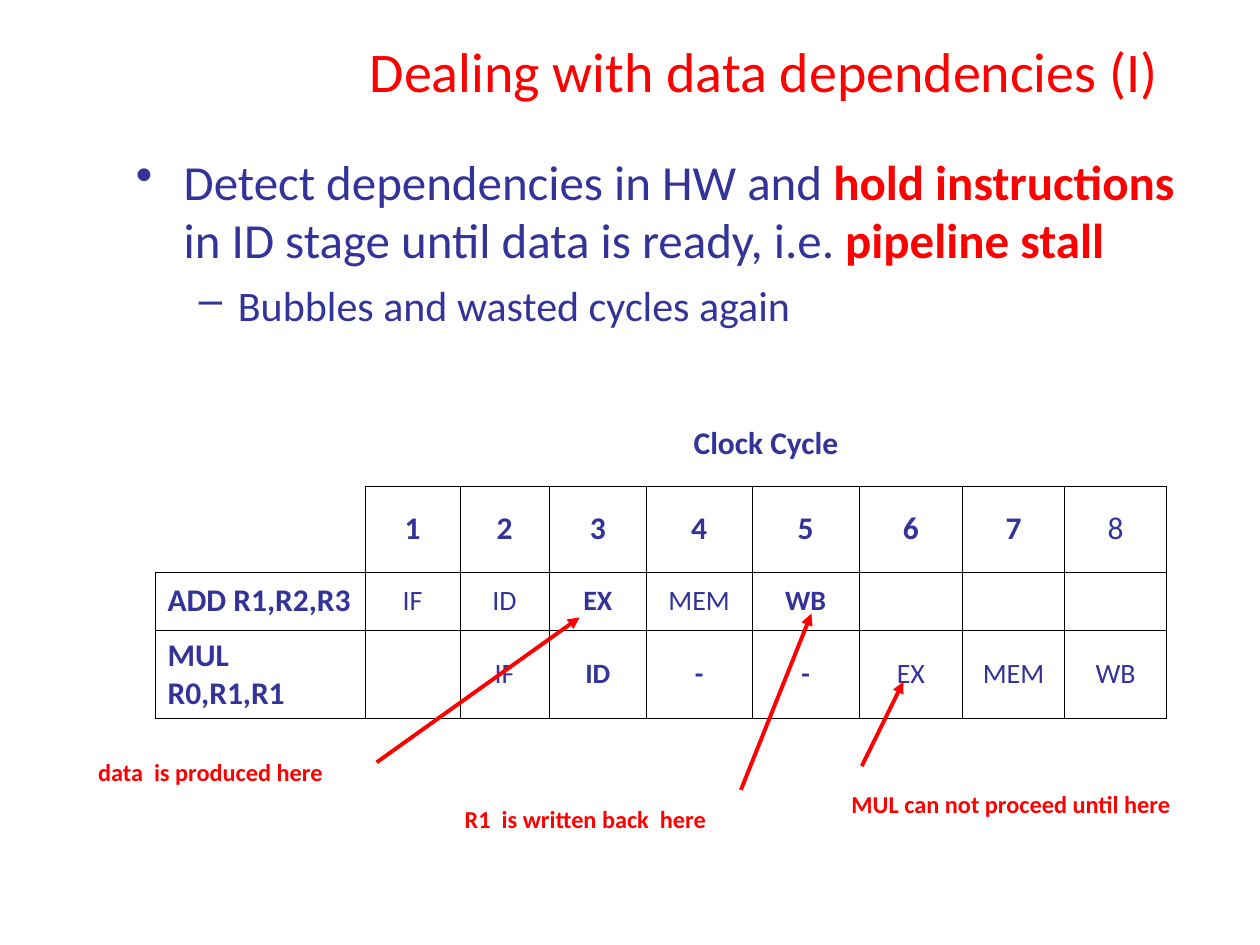
"""Build a slide on data dependencies and pipeline stalls."""
from pptx import Presentation
from pptx.dml.color import RGBColor
from pptx.enum.shapes import MSO_CONNECTOR as CONN
from pptx.enum.text import MSO_ANCHOR as ANCHOR, PP_ALIGN as ALIGN
from pptx.oxml.ns import qn
from pptx.util import Inches, Pt
from lxml.etree import SubElement

RED = RGBColor(0xFF, 0x00, 0x00)
BLUE = RGBColor(0x33, 0x33, 0x99)
BLACK = RGBColor(0x00, 0x00, 0x00)

BULLETS = [
    ("•", 28, 0.38, 0.38, 7, [
        ("Detect dependencies in HW and ", False),
        ("hold instructions", True),
        (" in ID stage until data is ready, i.e. ", False),
        ("pipeline stall", True),
    ]),
    ("–", 24, 0.81, 0.31, 6, [("Bubbles and wasted cycles again", False)]),
]
COLUMNS = [1.67, 0.75, 0.71, 0.77, 0.84, 0.85, 0.82, 0.81, 0.81]
ROWS = [0.68, 0.68, 0.46, 0.48]
CELLS = [
    ["", "Clock Cycle"] + [""] * 7,
    ["", "1", "2", "3", "4", "5", "6", "7", "8"],
    ["ADD R1,R2,R3", "IF", "ID", "EX", "MEM", "WB", "", "", ""],
    ["MUL R0,R1,R1", "", "IF", "ID", "-", "-", "EX", "MEM", "WB"],
]
BOLD_STAGES = {(2, 3), (2, 5), (3, 3), (3, 4), (3, 5)}
NOTES = [
    ("R1  is written back  here", (3.59, 6.11, 2.8, 0.56), (5.88, 6.27, 6.44, 4.87)),
    ("data  is produced here", (0.68, 5.74, 2.34, 0.56), (2.99, 6.05, 4.6, 4.9)),
    ("MUL can not proceed until here", (6.66, 5.99, 3.34, 0.56), (6.84, 6.08, 7.17, 5.41)),
]


class SlideBuilder:
    """Hold the style and the current slide."""

    def __init__(self, prs, font="Calibri"):
        self.font = font
        self.s = prs.slides.add_slide(prs.slide_layouts[5])

    def style(self, p, size, color, bold=False, align=ALIGN.LEFT):
        p.alignment = align
        p.font.name, p.font.size, p.font.bold = self.font, Pt(size), bold
        p.font.color.rgb = color

    def title(self, text, box):
        sp = self.s.shapes.title
        sp.left, sp.top, sp.width, sp.height = map(Inches, box)
        tf = sp.text_frame
        tf.text, tf.vertical_anchor = text, ANCHOR.MIDDLE
        self.style(tf.paragraphs[0], 32, RED, align=ALIGN.CENTER)

    def text_box(self, box):
        tf = self.s.shapes.add_textbox(*map(Inches, box)).text_frame
        tf.word_wrap = True
        return tf

    def bullets(self, items, box):
        tf = self.text_box(box)
        for i, (mark, size, margin, hang, before, runs) in enumerate(items):
            p = tf.add_paragraph() if i else tf.paragraphs[0]
            p.level, p.space_before = i, Pt(before)
            self.style(p, size, BLUE)
            pPr = p._p.get_or_add_pPr()
            pPr.set("marL", str(Inches(margin)))
            pPr.set("indent", str(-Inches(hang)))
            bullet = pPr.makeelement(qn("a:buChar"), {"char": mark})
            pPr.find(qn("a:defRPr")).addprevious(bullet)
            for text, strong in runs:
                r = p.add_run()
                r.text, r.font.bold = text, strong
                r.font.color.rgb = RED if strong else BLUE

    def borders(self, cell, sides):
        tcPr = cell._tc.get_or_add_tcPr()
        for side in "LRTB":
            ln = SubElement(tcPr, qn(f"a:ln{side}"), w=str(Pt(0.45)))
            if side in sides:
                fill = SubElement(ln, qn("a:solidFill"))
                SubElement(fill, qn("a:srgbClr"), val=str(BLACK))
            else:
                SubElement(ln, qn("a:noFill"))

    def table(self, left, top):
        size = Inches(sum(COLUMNS)), Inches(sum(ROWS))
        tbl = self.s.shapes.add_table(
            len(ROWS), len(COLUMNS), Inches(left), Inches(top), *size).table
        tbl.first_row = tbl.horz_banding = False
        for col, width in zip(tbl.columns, COLUMNS):
            col.width = Inches(width)
        for row, height in zip(tbl.rows, ROWS):
            row.height = Inches(height)
        tbl.cell(0, 1).merge(tbl.cell(0, len(COLUMNS) - 1))
        open_sides = {(0, 0): "", (1, 0): "RB"}
        for i, row in enumerate(CELLS):
            for j, text in enumerate(row):
                cell = tbl.cell(i, j)
                self.borders(cell, open_sides.get((i, j), "LRTB" if i else "B"))
                cell.fill.background()
                cell.vertical_anchor = ANCHOR.MIDDLE
                if not text:
                    continue
                cell.text = text
                stage = i > 1 and j > 0
                bold = (i, j) in BOLD_STAGES if stage else text != "8"
                self.style(cell.text_frame.paragraphs[0], 16 if stage else 18, BLUE,
                           bold, ALIGN.CENTER if j else ALIGN.LEFT)

    def note(self, text, box):
        p = self.text_box(box).paragraphs[0]
        self.style(p, 24, RED, True)
        r = p.add_run()
        r.text = text
        r._r.get_or_add_rPr().set("baseline", "-25000")

    def arrow(self, ends):
        sp = self.s.shapes.add_connector(CONN.STRAIGHT, *map(Inches, ends))
        sp.line.color.rgb, sp.line.width = RED, Pt(2.25)
        SubElement(sp.line._get_or_add_ln(), qn("a:tailEnd"), type="triangle")
        SubElement(sp._element.spPr, qn("a:effectLst"))


def main():
    prs = Presentation()
    prs.slide_width, prs.slide_height = Inches(10), Inches(7.5)
    slide = SlideBuilder(prs)
    slide.title("Dealing with data dependencies (I)", (2.64, 0.13, 6.85, 0.86))
    slide.bullets(BULLETS, (0.98, 1.15, 8.52, 5.84))
    slide.table(1.23, 3.18)
    for text, box, ends in NOTES:
        slide.note(text, box)
        slide.arrow(ends)
    prs.save("out.pptx")


if __name__ == "__main__":
    main()
